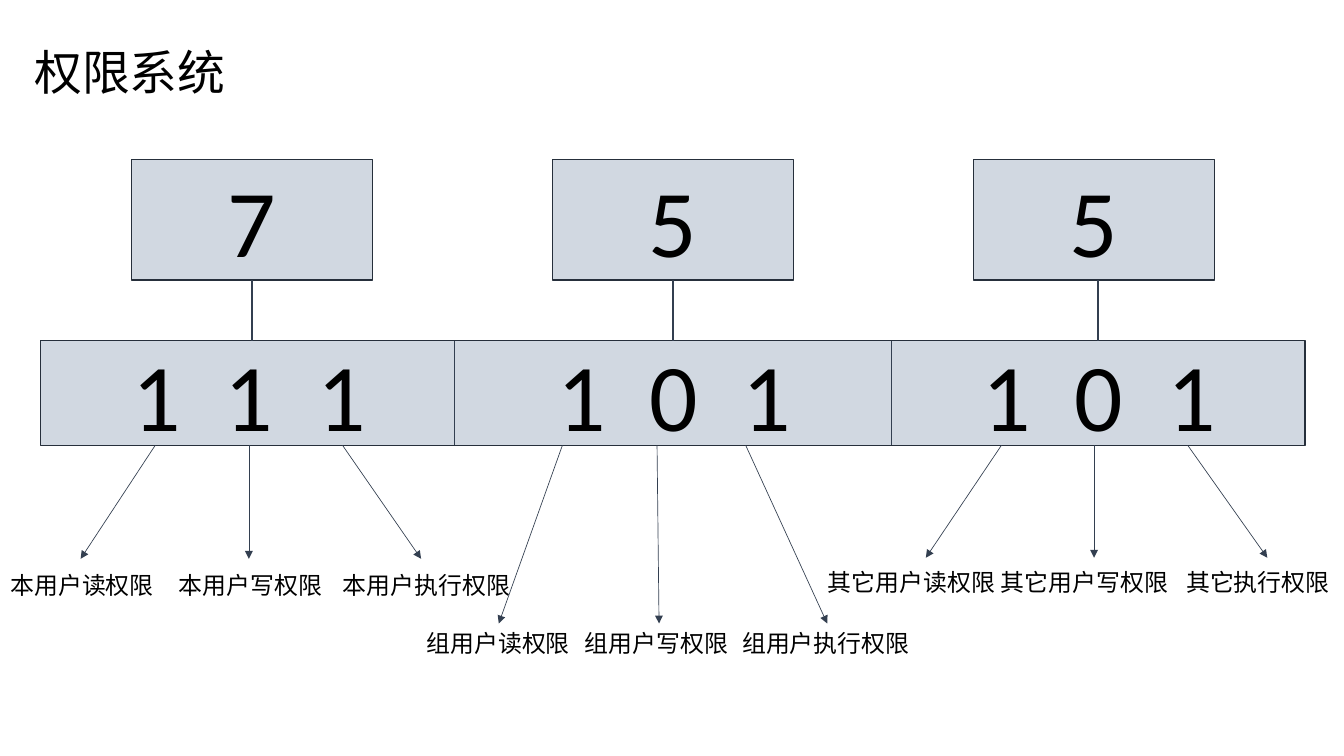
from dataclasses import dataclass

from lxml.etree import SubElement
from pptx import Presentation
from pptx.dml.color import RGBColor
from pptx.enum.shapes import MSO_CONNECTOR as Line, MSO_SHAPE as Preset
from pptx.enum.text import MSO_ANCHOR as Anchor, MSO_AUTO_SIZE as Fit, PP_ALIGN as Align
from pptx.oxml.ns import qn
from pptx.shapes.autoshape import Shape
from pptx.shapes.connector import Connector
from pptx.slide import Slide
from pptx.text.text import TextFrame
from pptx.util import Emu, Pt

FONT = "Calibri"
BLACK, BOX_FILL, BOX_EDGE, LINE_COLOUR = "000000", "D1D8E1", "262F3B", "333F50"

BAR_LEFT, BAR_TOP, BAR_WIDTH, BAR_HEIGHT = 41, 342, 1270, 105
BAR_BOTTOM = BAR_TOP + BAR_HEIGHT
OCTAL_LEFT, OCTAL_TOP, OCTAL_WIDTH, OCTAL_HEIGHT, OCTAL_STEP = 132, 160, 242, 121, 423
BIT_CENTRE, BIT_STEP, GROUP_STEP = 250, 93, 427
LABEL_HEIGHT = 38


@dataclass(frozen=True)
class Permission:
    name: str
    left: int
    width: int
    bit_x: int
    tip_x: int


@dataclass(frozen=True)
class UserClass:
    octal: str
    bits: str
    stem_x: int
    tip_y: int
    label_top: int
    permissions: tuple[Permission, ...]


USER_CLASSES = (
    UserClass("7", "111", 253, 561, 568, (
        Permission("本用户读权限", 1, 165, 156, 81),
        Permission("本用户写权限", 170, 169, 250, 250),
        Permission("本用户执行权限", 335, 189, 344, 423),
    )),
    UserClass("5", "101", 676, 626, 626, (
        Permission("组用户读权限", 419, 165, 565, 501),
        Permission("组用户写权限", 578, 169, 660, 662),
        Permission("组用户执行权限", 736, 189, 749, 831),
    )),
    UserClass("5", "101", 1103, 560, 565, (
        Permission("其它用户读权限", 822, 189, 1006, 930),
        Permission("其它用户写权限", 996, 193, 1099, 1099),
        Permission("其它执行权限", 1182, 165, 1193, 1273),
    )),
)


def px(length: int) -> Emu:
    return Emu(length * 9525)


def colour(value: str) -> RGBColor:
    return RGBColor.from_string(value)


def write(frame: TextFrame, text: str, size: int, align: Align) -> None:
    frame.text = text
    paragraph = frame.paragraphs[0]
    paragraph.alignment = align
    for run in paragraph.runs:
        run.font.name = FONT
        run.font.size = Pt(size)
        run.font.color.rgb = colour(BLACK)


def add_process(slide: Slide, left: int, top: int, width: int, height: int,
                text: str, align: Align = Align.CENTER) -> Shape:
    process = slide.shapes.add_shape(
        Preset.FLOWCHART_PROCESS, px(left), px(top), px(width), px(height))
    process.shadow.inherit = False
    process.fill.solid()
    process.fill.fore_color.rgb = colour(BOX_FILL)
    process.line.color.rgb = colour(BOX_EDGE)
    process.line.width = Pt(1)
    process.text_frame.vertical_anchor = Anchor.MIDDLE
    write(process.text_frame, text, 72, align)
    return process


def add_label(slide: Slide, left: int, top: int, width: int, height: int,
              text: str, size: int) -> None:
    label = slide.shapes.add_textbox(px(left), px(top), px(width), px(height))
    label.text_frame.word_wrap = False
    label.text_frame.auto_size = Fit.SHAPE_TO_FIT_TEXT
    write(label.text_frame, text, size, Align.LEFT)


def add_line(slide: Slide, x1: int, y1: int, x2: int, y2: int,
             weight: float = 0.5, arrow: bool = False) -> Connector:
    line = slide.shapes.add_connector(Line.STRAIGHT, px(x1), px(y1), px(x2), px(y2))
    line.line.color.rgb = colour(LINE_COLOUR)
    line.line.width = Pt(weight)
    if arrow:
        SubElement(line.line._get_or_add_ln(), qn("a:tailEnd"), type="triangle")
    SubElement(line._element.spPr, qn("a:effectLst"))
    return line


def add_bit_bar(slide: Slide) -> Shape:
    """Draw the bar of bits, each bit centred on its own tab stop."""
    bits = "".join(user.bits for user in USER_CLASSES)
    bar = add_process(slide, BAR_LEFT, BAR_TOP, BAR_WIDTH, BAR_HEIGHT,
                      "".join(f"\t{bit}" for bit in bits), Align.LEFT)
    bar.text_frame.margin_left = bar.text_frame.margin_right = 0
    tabs = SubElement(bar.text_frame.paragraphs[0]._p.get_or_add_pPr(), qn("a:tabLst"))
    for index in range(len(bits)):
        group, place = divmod(index, 3)
        centre = BIT_CENTRE + group * GROUP_STEP + (place - 1) * BIT_STEP
        SubElement(tabs, qn("a:tab"), pos=str(px(centre - BAR_LEFT)), algn="ctr")
    return bar


def main() -> None:
    deck = Presentation()
    deck.slide_width, deck.slide_height = px(1350), px(759)
    slide = deck.slides.add_slide(deck.slide_layouts[6])

    # Title
    add_label(slide, 25, 38, 213, 68, "权限系统", 36)

    # Bar of bits with its dividers
    bar = add_bit_bar(slide)
    for divider_x in (456, 895):
        add_line(slide, divider_x, BAR_TOP, divider_x, BAR_BOTTOM)

    for index, user in enumerate(USER_CLASSES):
        # Octal digit and the stem down to its bits
        left = OCTAL_LEFT + index * OCTAL_STEP
        octal = add_process(slide, left, OCTAL_TOP, OCTAL_WIDTH, OCTAL_HEIGHT, user.octal)
        stem = add_line(slide, user.stem_x, OCTAL_TOP + OCTAL_HEIGHT,
                        user.stem_x, BAR_TOP, weight=1.5)
        if user.stem_x == left + OCTAL_WIDTH // 2:
            stem.begin_connect(octal, 2)
        if user.stem_x == BAR_LEFT + BAR_WIDTH // 2:
            stem.end_connect(bar, 0)

        # Arrows from the bits to the permissions
        for permission in user.permissions:
            add_line(slide, permission.bit_x, BAR_BOTTOM,
                     permission.tip_x, user.tip_y, arrow=True)
            add_label(slide, permission.left, user.label_top,
                      permission.width, LABEL_HEIGHT, permission.name, 18)

    deck.save("out.pptx")


if __name__ == "__main__":
    main()
